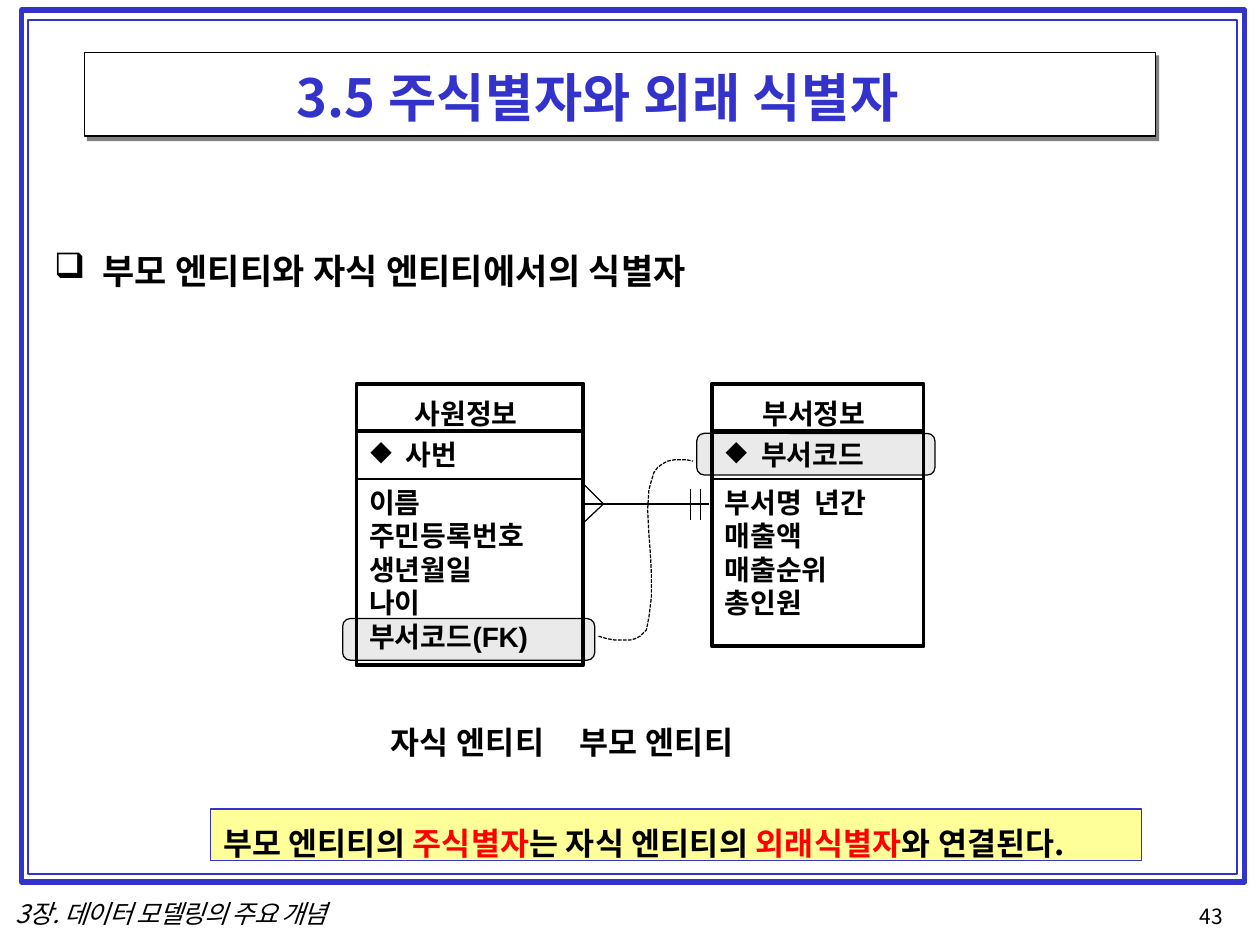
import pptx
import pptx.dml.color
import pptx.enum.dml
import pptx.enum.shapes
import pptx.enum.text
import pptx.oxml
import pptx.oxml.ns
import pptx.util
from dataclasses import dataclass

Inches = pptx.util.Inches
Pt = pptx.util.Pt
Shapes = pptx.enum.shapes.MSO_SHAPE


@dataclass(frozen=True)
class Theme:
    font: str = "Noto Sans CJK KR"
    latin_font: str = "Arial"
    black: str = "000000"
    white: str = "FFFFFF"
    blue: str = "3333CC"
    red: str = "FF0000"
    shadow: str = "808080"
    highlight: str = "EAEAEA"
    note: str = "FFFF99"
    title: float = 30
    heading: float = 20
    label: float = 18
    body: float = 16
    footer: float = 14.5
    number: float = 12
    leading: float = 1.2
    hairline: float = 0.72
    thin: float = 1
    thick: float = 2.25


THEME = Theme()


def rgb(value):
    return pptx.dml.color.RGBColor.from_string(value)


def element(tag, **attributes):
    node = pptx.oxml.parse_xml(f"<a:{tag} {pptx.oxml.ns.nsdecls('a')}/>")
    for name, value in attributes.items():
        node.set(name, str(value))
    return node


# Shapes and lines
def style_shape(shape, fill=None, line=None, weight=THEME.hairline):
    shape.shadow.inherit = False
    if fill:
        shape.fill.solid()
        shape.fill.fore_color.rgb = rgb(fill)
    else:
        shape.fill.background()
    if line:
        shape.line.color.rgb = rgb(line)
        shape.line.width = Pt(weight)
    else:
        shape.line.fill.background()
    return shape


def add_box(page, left, top, width, height, kind=Shapes.RECTANGLE, **style):
    box = page.shapes.add_shape(
        kind, Inches(left), Inches(top), Inches(width), Inches(height))
    return style_shape(box, **style)


def add_line(page, start, end, weight=THEME.thin):
    line = page.shapes.add_connector(
        pptx.enum.shapes.MSO_CONNECTOR.STRAIGHT,
        *(Inches(value) for value in (*start, *end)))
    line.line.color.rgb = rgb(THEME.black)
    line.line.width = Pt(weight)
    line._element.spPr.append(element("effectLst"))


def add_outline(page, points, close):
    corners = [(Inches(x), Inches(y)) for x, y in points]
    builder = page.shapes.build_freeform(*corners[0], scale=1.0)
    builder.add_line_segments(corners[1:], close=close)
    return style_shape(builder.convert_to_shape(), line=THEME.black)


# Text
def format_span(span, size, color=THEME.black, font=THEME.font,
                bold=True, italic=False, spacing=0.1):
    span.font.size = Pt(size)
    span.font.bold = bold
    span.font.italic = italic
    span.font.name = font
    span.font.color.rgb = rgb(color)
    properties = span._r.get_or_add_rPr()
    properties.set("spc", str(round(spacing * 100)))
    properties.find(pptx.oxml.ns.qn("a:latin")).addnext(
        element("ea", typeface=THEME.font))


def write(box, lines, size, inset=0.02, indent=0, hanging=0, bullet=None,
          tab=None, leading=None, **style):
    """Each line is a list of (text, style changes) spans."""
    frame = box.text_frame
    frame.word_wrap = True
    frame.vertical_anchor = pptx.enum.text.MSO_ANCHOR.TOP
    frame.margin_left = frame.margin_right = frame.margin_bottom = 0
    frame.margin_top = Inches(inset)
    for index, spans in enumerate(lines):
        para = frame.add_paragraph() if index else frame.paragraphs[0]
        para.alignment = pptx.enum.text.PP_ALIGN.LEFT
        para.line_spacing = Pt(leading or size * THEME.leading)
        properties = para._p.get_or_add_pPr()
        properties.set("marL", str(Inches(indent)))
        properties.set("indent", str(Inches(hanging)))
        if bullet:
            properties.append(element("buChar", char=bullet))
        if tab:
            tabs = element("tabLst")
            tabs.append(element("tab", pos=Inches(tab), algn="l"))
            properties.append(tabs)
        for text, changes in spans:
            span = para.add_run()
            span.text = text
            format_span(span, size, **{**style, **changes})


def add_text(page, left, top, width, height, lines, size, **style):
    box = page.shapes.add_textbox(
        Inches(left), Inches(top), Inches(width), Inches(height))
    write(box, lines, size, **style)


def plain(*texts):
    return [[(text, {})] for text in texts]


# Parts of the page
def add_frame(page):
    add_box(page, 0.17, 0.08, 9.71, 6.92, line=THEME.blue, weight=3)
    add_box(page, 0.22, 0.16, 9.6, 6.78, line=THEME.blue, weight=THEME.thin)
    add_box(page, 0.69, 0.44, 8.51, 0.68, fill=THEME.shadow)
    add_box(page, 0.67, 0.42, 8.5, 0.66, fill=THEME.white, line=THEME.black)


def add_highlight(page, left, top, width):
    box = add_box(page, left, top, width, 0.33, Shapes.ROUNDED_RECTANGLE,
                  fill=THEME.highlight, line=THEME.black)
    box.adjustments[0] = 0.18


def add_entity(page, left, width, height, name, name_indent, key, attributes):
    top, divider = 3.05, 3.8
    outline = {"line": THEME.black, "weight": THEME.thick}
    add_box(page, left, top, width, height, **outline)
    add_line(page, (left, divider), (left + width, divider))
    header = add_box(page, left, top, width, 0.37, **outline)
    write(header, plain(name), THEME.body, inset=0.1, indent=name_indent)
    add_text(page, left + 0.02, 3.45, width - 0.04, 0.29, plain(key),
             THEME.body, indent=0.37, hanging=-0.28, bullet="◆", tab=0.37)
    add_text(page, left + 0.02, 3.83, width - 0.04, 0.27 * len(attributes),
             attributes, THEME.body, indent=0.08)


def add_relationship(page):
    middle = 4
    add_line(page, (4.63, middle), (5.63, middle))
    for x in (5.48, 5.56):
        add_line(page, (x, middle - 0.12), (x, middle + 0.13))
    add_outline(page, [(4.62, 3.83), (4.79, middle), (4.62, 4.16)], close=True)


def add_key_link(page):
    curve = [(4.75, 5.05), (4.82, 5.07), (4.88, 5.08), (5, 5.08), (5.04, 5.07),
             (5.08, 5.05), (5.13, 5), (5.15, 4.9), (5.17, 4.74), (5.17, 4.55),
             (5.16, 4.37), (5.15, 4.24), (5.14, 4.05), (5.15, 3.89),
             (5.16, 3.85), (5.19, 3.75), (5.22, 3.71), (5.26, 3.68),
             (5.3, 3.66), (5.35, 3.65), (5.45, 3.65), (5.5, 3.66)]
    link = add_outline(page, curve, close=False)
    link.line.dash_style = pptx.enum.dml.MSO_LINE.SQUARE_DOT


def main():
    deck = pptx.Presentation()
    deck.slide_width, deck.slide_height = Inches(10), Inches(7.5)
    page = deck.slides.add_slide(deck.slide_layouts[6])

    # Frame, title and heading
    add_frame(page)
    add_text(page, 0.67, 0.5, 8.49, 0.53, plain("3.5 주식별자와 외래 식별자"),
             THEME.title, indent=1.68, color=THEME.blue, spacing=0.2)
    add_text(page, 0.42, 1.96, 5.41, 0.36,
             plain("부모 엔티티와 자식 엔티티에서의 식별자"), THEME.heading,
             indent=0.39, hanging=-0.38, bullet="❑", tab=0.39)

    # Entity diagram
    add_highlight(page, 5.53, 3.44, 1.89)
    add_highlight(page, 2.72, 4.91, 2)
    foreign_key = [("부서코드", {}),
                   ("(FK)", {"font": THEME.latin_font, "spacing": -0.1})]
    add_entity(page, 2.83, 1.8, 2.23, "사원정보", 0.46, "사번",
               plain("이름", "주민등록번호", "생년월일", "나이") + [foreign_key])
    add_relationship(page)
    add_entity(page, 5.65, 1.68, 2.08, "부서정보", 0.4, "부서코드",
               plain("부서명  년간", "매출액", "매출순위", "총인원"))
    add_key_link(page)
    add_text(page, 3.09, 5.72, 4.22, 0.33, plain("자식 엔티티\t부모 엔티티"),
             THEME.label, indent=0.01, tab=2.91, spacing=0.2)

    # Footer
    add_text(page, 0.11, 7.14, 2.8, 0.23, plain("3장. 데이터 모델링의 주요 개념"),
             THEME.footer, inset=0, indent=0.01, leading=16.6,
             bold=False, italic=True, spacing=-0.5)
    add_text(page, 9.48, 7.18, 0.29, 0.19, plain("43"), THEME.number,
             inset=0, indent=0.04, leading=13.7, bold=False, spacing=0)

    # Conclusion
    note = add_box(page, 1.67, 6.42, 7.39, 0.41,
                   fill=THEME.note, line=THEME.blue)
    red = {"color": THEME.red}
    write(note, [[("부모 엔티티의 ", {}), ("주식별자", red),
                  ("는 자식 엔티티의 ", {}), ("외래식별자", red),
                  ("와 연결된다.", {})]], THEME.label, inset=0.12, indent=0.1)

    deck.save("out.pptx")


if __name__ == "__main__":
    main()
